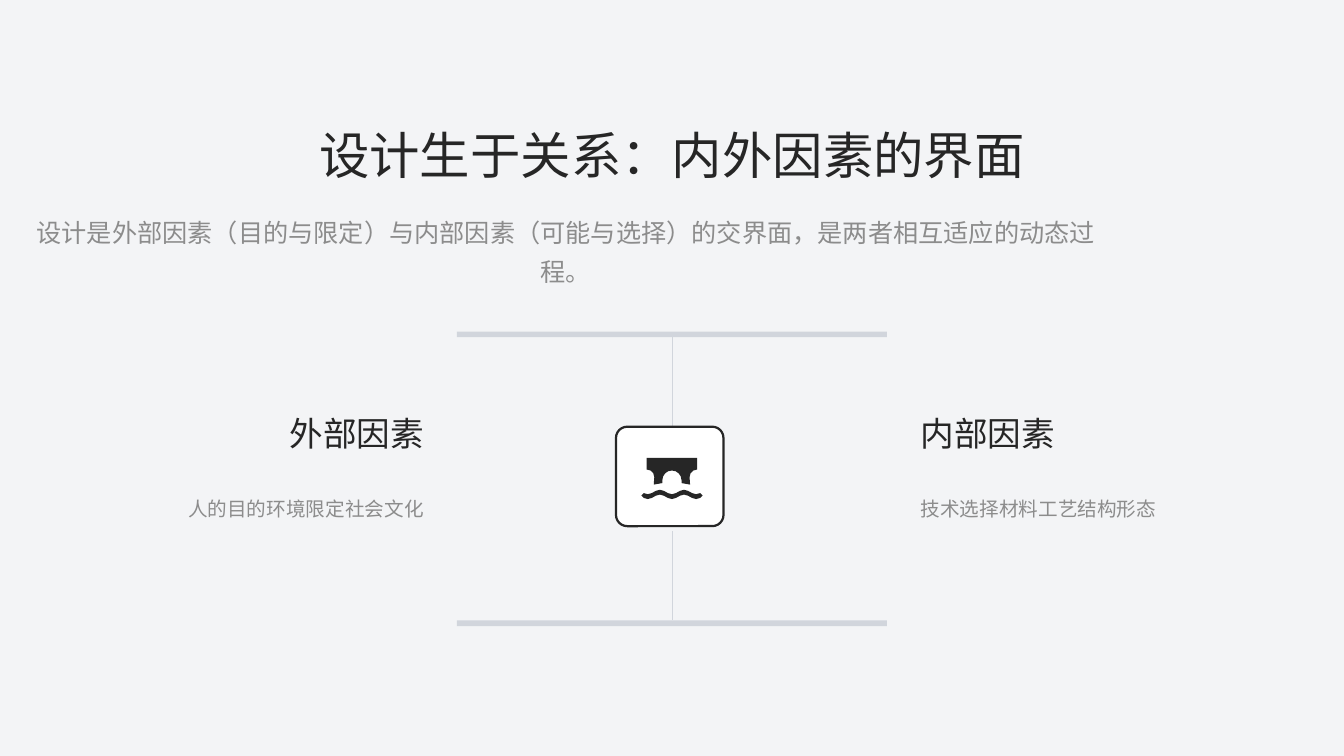
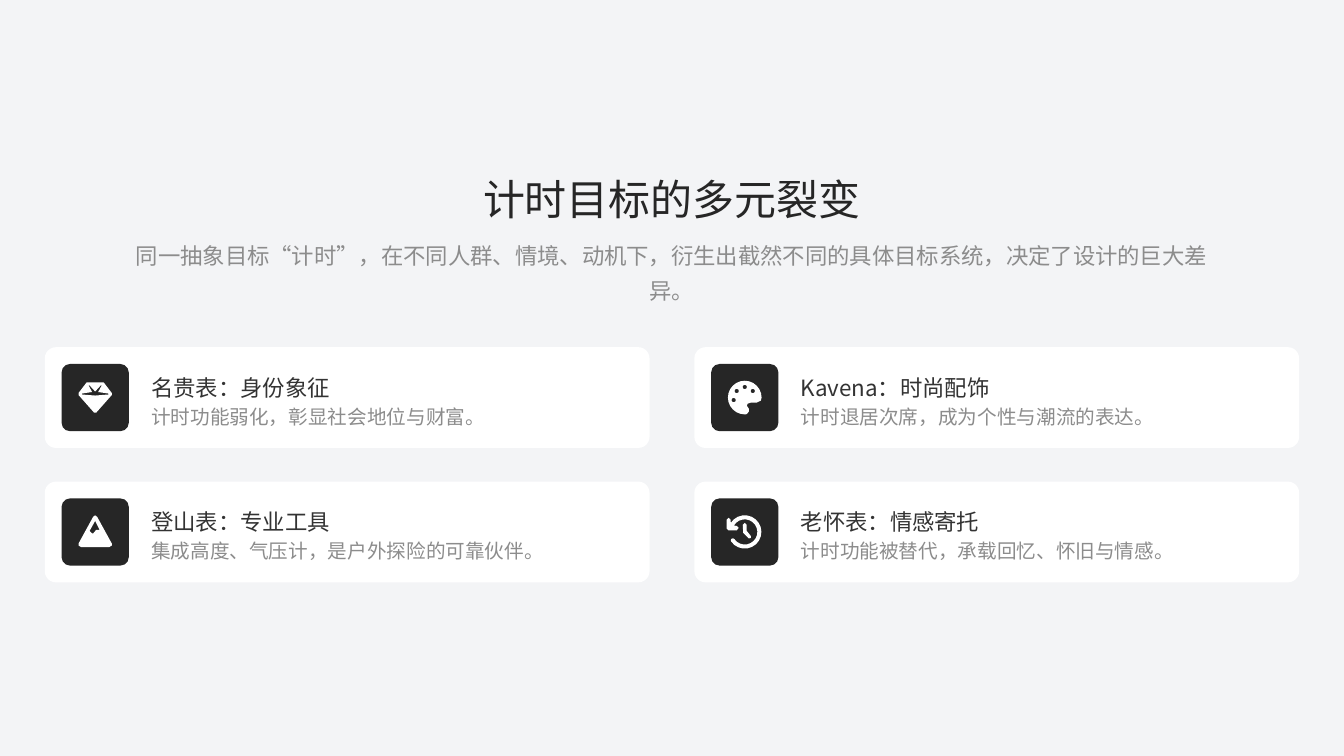
import math

from lxml import etree
from pptx import Presentation
from pptx import util as u
from pptx.dml.color import RGBColor
from pptx.enum import shapes, text
from pptx.oxml.ns import qn

CELL = u.Inches(1) / 9  # the slide is 120 columns by 67.5 rows
COLUMNS, ROWS = 120, 67.5
ICON_UNIT = 0.09  # cells in one icon unit
TITLE_ONLY = 5
FONT = "Noto Sans CJK SC"
COLORS = {
    "background": "F3F4F6",
    "ink": "262626",
    "label": "333333",
    "muted": "8C8C8C",
    "rule": "D1D5DC",
    "white": "FFFFFF",
}
LEFT, CENTER, RIGHT = text.PP_ALIGN.LEFT, text.PP_ALIGN.CENTER, text.PP_ALIGN.RIGHT

# Icon, text width in columns, heading, detail
CARDS = [
    ("diamond", 34.75, "名贵表：身份象征", "计时功能弱化，彰显社会地位与财富。"),
    ("palette", 36.5, "Kavena：时尚配饰", "计时退居次席，成为个性与潮流的表达。"),
    ("mountain", 40, "登山表：专业工具", "集成高度、气压计，是户外探险的可靠伙伴。"),
    ("history", 38.25, "老怀表：情感寄托", "计时功能被替代，承载回忆、怀旧与情感。"),
]


def grid(value):
    return u.Emu(round(value * CELL))


def color(name):
    return RGBColor.from_string(COLORS[name])


# Icon outlines: lists of contours around a centre at 0, 0
def arc(x, y, radius, start, end, steps=4):
    angles = [math.radians(start + (end - start) * i / steps) for i in range(steps + 1)]
    return [(x + radius * math.cos(a), y + radius * math.sin(a)) for a in angles]


def mirrored(points):
    """Complete an outline that is symmetric about the vertical axis."""
    return points + [(-x, y) for x, y in reversed(points)]


def bridge():
    deck = mirrored(
        arc(0, 3, 9.5, 270, 360)
        + [(9.5, 6), (18, 7.5)]
        + arc(25, 0, 7.5, 180, 270, 3)
        + [(25, -19)]
    )
    middle = [(x, 17.2 + 2.2 * math.cos(math.tau * x / 24)) for x in range(-28, 29, 4)]
    end_x, end_y = middle[-1]
    wave = (
        [(x, y - 2.4) for x, y in middle]
        + [(end_x + 2.4, end_y)]
        + [(x, y + 2.4) for x, y in reversed(middle)]
        + [(-end_x - 2.4, end_y)]
    )
    return [deck, wave]


def diamond():
    stone = mirrored([(8.5, -15), (16.5, -4.5), (16.5, -2.5), (1, 15)])
    facets = mirrored([(0, -6), (5.5, -12), (6.5, -12), (3, -5.5), (13, -4), (13, -3), (0, -2)])
    return [stone, facets]


def palette():
    board = arc(0, 0, 16.7, 90, 360, 18) + [
        (16, 3), (12, 5), (6, 5), (3, 6), (2, 8), (4, 11), (4, 14), (2, 16.5),
    ]
    wells = [(-11, 2.5), (-8, -6.5), (0, -10.5), (8, -6.5)]
    return [board] + [arc(x, y, 2.2, 0, 360, 8) for x, y in wells]


def mountain():
    peak = mirrored([(0, -16.5), (2, -15), (16.5, 11.5), (16.5, 13.5), (14, 15)])
    snow = [(-5.5, -1), (-3, 1.5), (-2, 1.5), (1, -2), (4.5, -2), (0, -11)]
    return [peak, snow]


def history():
    tip = math.radians(145)
    dial = (
        arc(0, 0, 16.5, 213, 505, 18)
        + arc(14.5 * math.cos(tip), 14.5 * math.sin(tip), 2, 145, 325)
        + arc(0, 0, 12.5, 505, 210, 18)
        + [(-8, -6), (-6, -4), (-8, -1.5), (-16, -1.5), (-18, -3.5),
           (-18, -12), (-16, -14), (-14, -12)]
    )
    hands = [(-2, -7), (0, -9), (2, -7), (2, -1), (6, 4), (6, 6), (4, 6.5), (-1.5, 1)]
    return [dial, hands]


ICONS = {
    "bridge": bridge,
    "diamond": diamond,
    "palette": palette,
    "mountain": mountain,
    "history": history,
}


# Elements
def paint(shape, fill, line=None):
    shape.shadow.inherit = False
    shape.fill.solid()
    shape.fill.fore_color.rgb = color(fill)
    if line:
        shape.line.color.rgb = color(line)
        shape.line.width = u.Pt(1.6)
    else:
        shape.line.fill.background()


def write(shape, words, size, ink, align, spacing):
    frame = shape.text_frame
    frame.word_wrap = True
    frame.auto_size = text.MSO_AUTO_SIZE.NONE
    frame.vertical_anchor = text.MSO_ANCHOR.MIDDLE
    frame.margin_left = frame.margin_right = frame.margin_top = frame.margin_bottom = 0
    paragraph = frame.paragraphs[0]
    paragraph.alignment = align
    paragraph.line_spacing = spacing
    run = paragraph.add_run()
    run.text = words
    run.font.size = u.Pt(size)
    run.font.color.rgb = color(ink)
    run.font.name = FONT
    east_asian = etree.SubElement(run.font._element, qn("a:ea"))
    east_asian.set("typeface", FONT)


def add_text(slide, box, words, size, ink="muted", align=LEFT, spacing=1.2):
    shape = slide.shapes.add_textbox(*map(grid, box))
    write(shape, words, size, ink, align, spacing)


def add_panel(slide, box, fill, radius=0, line=None):
    kind = shapes.MSO_SHAPE.ROUNDED_RECTANGLE if radius else shapes.MSO_SHAPE.RECTANGLE
    shape = slide.shapes.add_shape(kind, *map(grid, box))
    if radius:
        shape.adjustments[0] = radius / min(box[2:])
    paint(shape, fill, line)


def add_stem(slide, x, top, bottom):
    stem = slide.shapes.add_connector(
        shapes.MSO_CONNECTOR.STRAIGHT, grid(x), grid(top), grid(x), grid(bottom))
    stem.line.color.rgb = color("rule")
    stem.line.width = u.Pt(0.5)
    etree.SubElement(stem._element.spPr, qn("a:effectLst"))


def add_icon(slide, name, x, y, fill):
    builder = None
    for contour in ICONS[name]():
        points = [(grid(x + px * ICON_UNIT), grid(y + py * ICON_UNIT)) for px, py in contour]
        if builder is None:
            builder = slide.shapes.build_freeform(*points[0], scale=1.0)
        else:
            builder.move_to(*points[0])
        builder.add_line_segments(points[1:], close=True)
    paint(builder.convert_to_shape(), fill)


def add_card(slide, x, y, icon, width, heading, detail):
    add_panel(slide, (x, y, 54, 9), "white", radius=1)
    add_panel(slide, (x + 1.5, y + 1.5, 6, 6), "ink", radius=0.75)
    add_icon(slide, icon, x + 4.5, y + 4.5, "white")
    add_text(slide, (x + 9.5, y + 1.75, width, 3), heading, 16, "label", spacing=1.3)
    add_text(slide, (x + 9.5, y + 4.75, width, 2.5), detail, 14)


def add_titled_slide(presentation, title, top, height, size, spacing):
    slide = presentation.slides.add_slide(presentation.slide_layouts[TITLE_ONLY])
    shape = slide.shapes.title
    shape.left, shape.top, shape.width, shape.height = map(grid, (0, top, COLUMNS, height))
    write(shape, title, size, "ink", CENTER, spacing)
    return slide


# Slides
def build_interface(presentation):
    slide = add_titled_slide(
        presentation, "设计生于关系：内外因素的界面", 11.6, 5, 36, 0.9)
    add_text(
        slide, (2.5, 18.6, 96, 7),
        "设计是外部因素（目的与限定）与内部因素（可能与选择）的交界面，是两者相互适应的动态过程。",
        18, align=CENTER, spacing=1.3)

    # Two sides of the interface
    sides = [
        (2.5, RIGHT, "外部因素", "人的目的环境限定社会文化"),
        (82.2, LEFT, "内部因素", "技术选择材料工艺结构形态"),
    ]
    for x, align, heading, detail in sides:
        add_text(slide, (x, 36.5, 35.35, 4), heading, 24, "ink", align, 1.1)
        add_text(slide, (x, 41.5, 35.35, 7.5), detail, 14, align=align)

    # Bars, stems and the bridge between them
    for y in (29.6, 55.4):
        add_panel(slide, (40.8, y, 38.4, 0.5), "rule")
    for top in (30.1, 47.4):
        add_stem(slide, COLUMNS / 2, top, top + 8)
    add_panel(slide, (55, 38.1, 9.6, 8.88), "white", radius=1, line="ink")
    add_icon(slide, "bridge", COLUMNS / 2, 42.6, "ink")


def build_goals(presentation):
    slide = add_titled_slide(presentation, "计时目标的多元裂变", 15.5, 4.5, 30, 1.0)
    add_text(
        slide, (12, 21, 96, 6),
        "同一抽象目标“计时”，在不同人群、情境、动机下，衍生出截然不同的具体目标系统，决定了设计的巨大差异。",
        16, align=CENTER, spacing=1.3)
    for index, card in enumerate(CARDS):
        row, column = divmod(index, 2)
        add_card(slide, 4 + 58 * column, 31 + 12 * row, *card)


def main():
    presentation = Presentation()
    presentation.slide_width, presentation.slide_height = grid(COLUMNS), grid(ROWS)
    background = presentation.slide_master.background.fill
    background.solid()
    background.fore_color.rgb = color("background")
    build_interface(presentation)
    build_goals(presentation)
    presentation.save("out.pptx")


if __name__ == "__main__":
    main()
